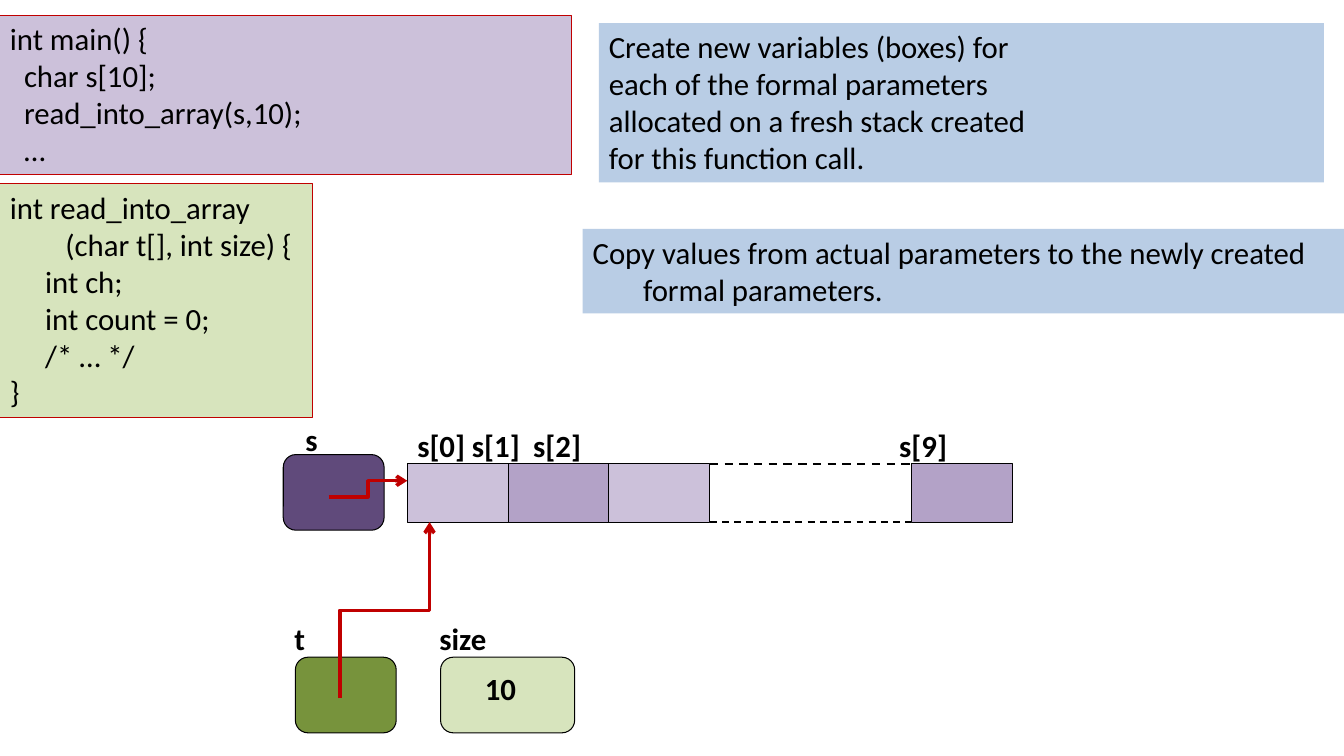
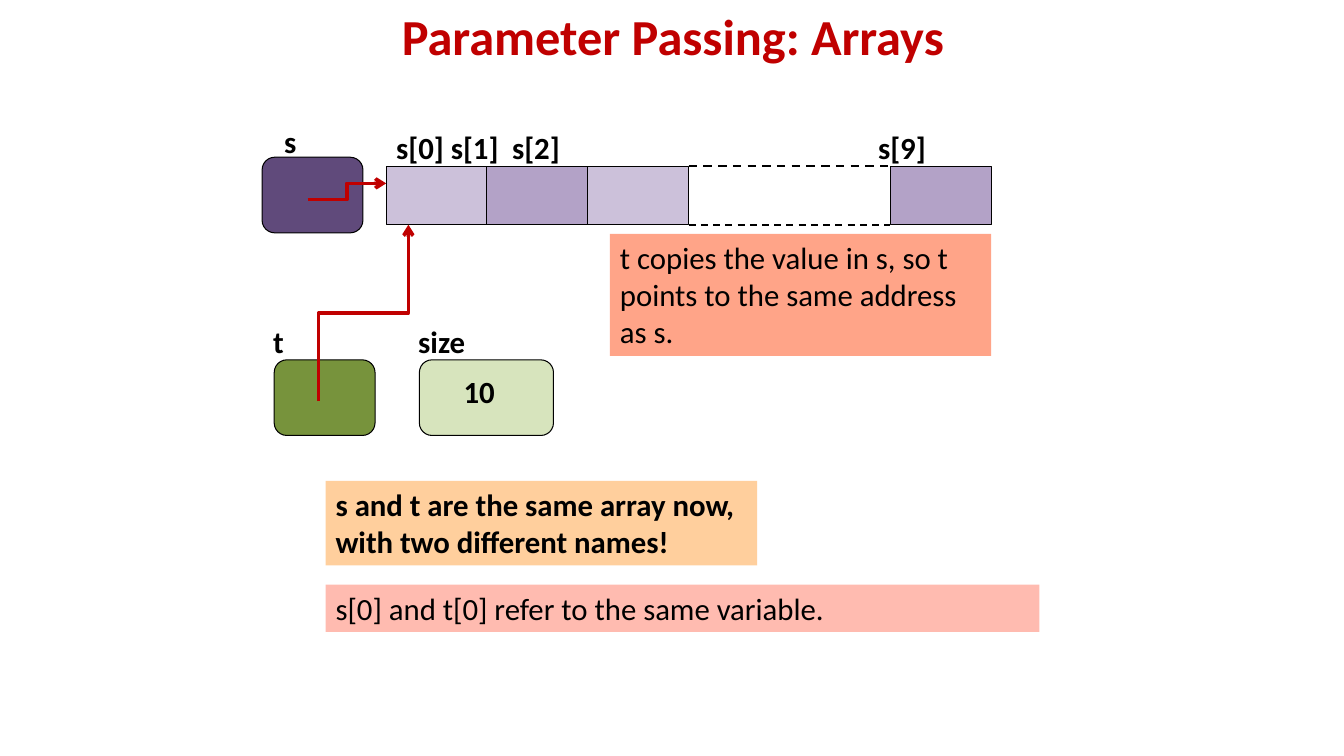
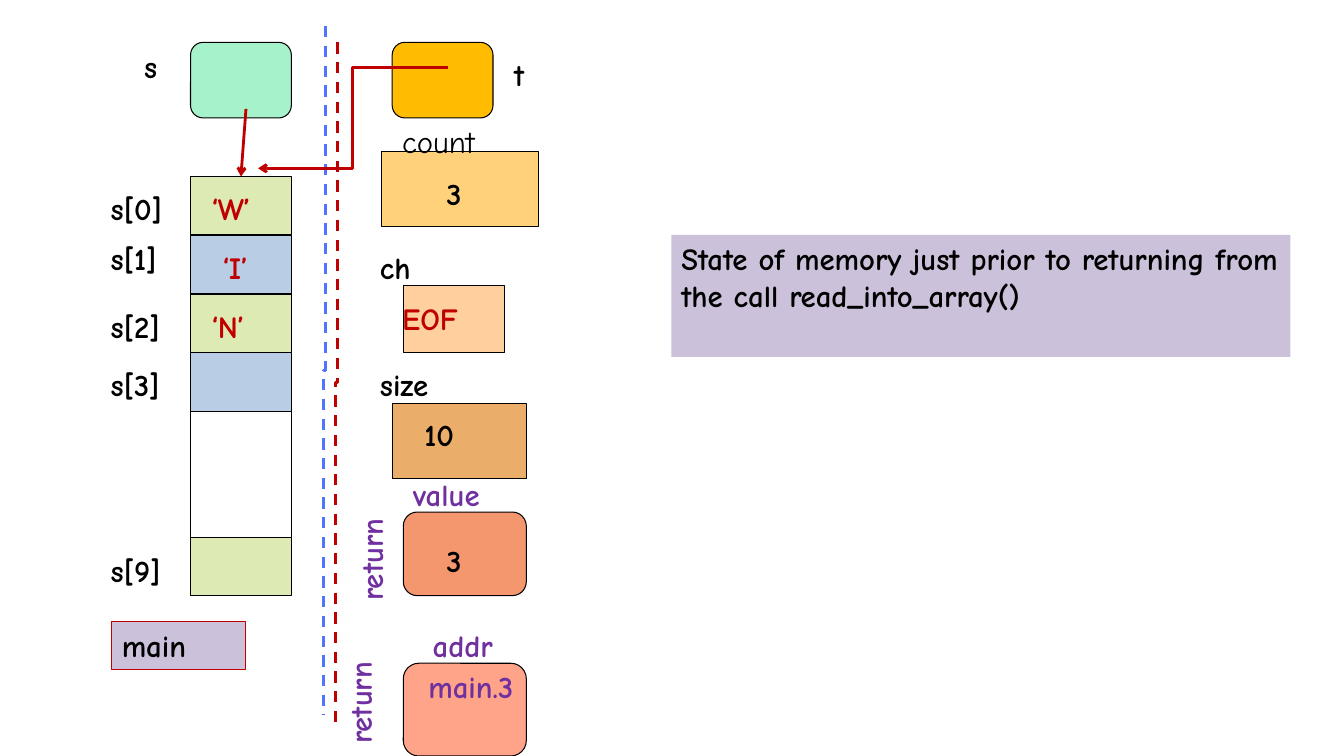
from dataclasses import dataclass

import pptx
import pptx.dml.color
import pptx.enum.dml
import pptx.enum.shapes
import pptx.enum.text
import pptx.oxml.ns
import pptx.shapes.autoshape
import pptx.slide
import pptx.util
from lxml import etree

Inches = pptx.util.Inches
Pt = pptx.util.Pt
Slide = pptx.slide.Slide
AutoShape = pptx.shapes.autoshape.Shape
qualified = pptx.oxml.ns.qn


@dataclass(frozen=True)
class Theme:
    body_font: str = "Calibri"
    memory_font: str = "Comic Neue"
    body_size: float = 22
    title_size: float = 36
    outline: float = 0.75
    label_height: float = 0.47
    black: str = "000000"
    red: str = "C00000"
    blue_dash: str = "5174FF"
    return_purple: str = "7030A0"
    lilac: str = "CCC1DA"
    mauve: str = "B3A2C7"
    plum: str = "604A7B"
    pale_green: str = "D7E4BD"
    olive: str = "77933C"
    lime: str = "DDEAB4"
    mint: str = "A6F2CA"
    sky: str = "B9CDE5"
    salmon: str = "FFA488"
    pink: str = "FFBBB0"
    coral: str = "F4976E"
    peach: str = "FFCF9D"
    amber: str = "FFBC00"
    honey: str = "FFD17A"
    caramel: str = "EAAD6A"


THEME = Theme()


@dataclass(frozen=True)
class Box:
    left: float
    top: float
    width: float
    height: float
    fill: str
    line: str | None = THEME.black
    rounded: bool = False


@dataclass(frozen=True)
class Label:
    text: str
    left: float
    top: float
    width: float
    color: str = THEME.black
    bold: bool = True
    centered: bool = False
    rotation: float = 0


@dataclass(frozen=True)
class Link:
    start: tuple[float, float]
    end: tuple[float, float]
    color: str = THEME.black
    width: float = THEME.outline
    bent: bool = False
    vertical_first: bool = False
    dashed: bool = False
    arrow: bool = False


def rgb(color: str) -> pptx.dml.color.RGBColor:
    return pptx.dml.color.RGBColor.from_string(color)


def write_text(shape: AutoShape, text: str, *, font: str = THEME.body_font,
               size: float = THEME.body_size, color: str = THEME.black,
               bold: bool = False, centered: bool = False, wrap: bool = True,
               margins: tuple[float, ...] = (), hanging: float = 0) -> None:
    frame = shape.text_frame
    frame.word_wrap = wrap
    frame.auto_size = pptx.enum.text.MSO_AUTO_SIZE.SHAPE_TO_FIT_TEXT
    frame.vertical_anchor = pptx.enum.text.MSO_ANCHOR.TOP
    alignment = pptx.enum.text.PP_ALIGN
    for index, line in enumerate(text.split("\n")):
        paragraph = frame.add_paragraph() if index else frame.paragraphs[0]
        paragraph.alignment = alignment.CENTER if centered else alignment.LEFT
        properties = paragraph._p.get_or_add_pPr()
        margin = margins[index] if margins else hanging
        properties.set("marL", str(Inches(margin)))
        properties.set("indent", str(-Inches(hanging)))
        run = paragraph.add_run()
        run.text = line
        run.font.name = font
        run.font.size = Pt(size)
        run.font.bold = bold
        run.font.color.rgb = rgb(color)


def draw_box(slide: Slide, box: Box) -> AutoShape:
    kinds = pptx.enum.shapes.MSO_SHAPE
    shape = slide.shapes.add_shape(
        kinds.ROUNDED_RECTANGLE if box.rounded else kinds.RECTANGLE,
        Inches(box.left), Inches(box.top), Inches(box.width), Inches(box.height))
    shape.shadow.inherit = False
    shape.fill.solid()
    shape.fill.fore_color.rgb = rgb(box.fill)
    if box.line:
        shape.line.color.rgb = rgb(box.line)
        shape.line.width = Pt(THEME.outline)
    else:
        shape.line.fill.background()
    return shape


def draw_label(slide: Slide, label: Label, font: str = THEME.body_font) -> None:
    shape = slide.shapes.add_textbox(
        Inches(label.left), Inches(label.top),
        Inches(label.width), Inches(THEME.label_height))
    shape.rotation = label.rotation
    write_text(shape, label.text, font=font, color=label.color, bold=label.bold,
               centered=label.centered, wrap=False)


def draw_link(slide: Slide, link: Link) -> None:
    start, end = link.start, link.end
    if link.vertical_first:
        center_x, center_y = (start[0] + end[0]) / 2, (start[1] + end[1]) / 2
        half_x, half_y = start[0] - center_x, start[1] - center_y
        start = center_x + half_y, center_y - half_x
        end = center_x - half_y, center_y + half_x
    kinds = pptx.enum.shapes.MSO_CONNECTOR
    connector = slide.shapes.add_connector(
        kinds.ELBOW if link.bent else kinds.STRAIGHT,
        Inches(start[0]), Inches(start[1]), Inches(end[0]), Inches(end[1]))
    connector.line.color.rgb = rgb(link.color)
    connector.line.width = Pt(link.width)
    if link.dashed:
        connector.line.dash_style = pptx.enum.dml.MSO_LINE.DASH
    properties = connector._element.spPr
    if link.vertical_first:
        properties.get_or_add_xfrm().set("rot", "5400000")
    if link.arrow:
        etree.SubElement(properties.find(qualified("a:ln")),
                         qualified("a:tailEnd"), type="arrow")
    etree.SubElement(properties, qualified("a:effectLst"))


def draw_array_diagram(slide: Slide, left: float, top: float) -> None:
    cell_left, cell_top, cell_height = left + 1.23, top + 0.48, 0.58
    cell_bottom = cell_top + cell_height
    lower_top = top + 2.4
    for column, fill in ((0, THEME.lilac), (1, THEME.mauve),
                         (2, THEME.lilac), (5, THEME.mauve)):
        draw_box(slide, Box(cell_left + column, cell_top, 1, cell_height, fill))
    for y, width in ((cell_top, 1.5), (cell_bottom, 1.25)):
        draw_link(slide, Link((cell_left + 3, y), (cell_left + 5, y),
                              width=width, dashed=True))
    for box in (
        Box(left, top + 0.39, 1, 0.75, THEME.plum, rounded=True),
        Box(left + 0.12, lower_top, 1, 0.75, THEME.olive, rounded=True),
        Box(left + 1.56, lower_top, 1.33, 0.75, THEME.pale_green, rounded=True),
    ):
        draw_box(slide, box)
    for label in (
        Label("s[0] s[1]", cell_left, top + 0.06, 1.22),
        Label("s[2]", cell_left + 1.15, top + 0.06, 0.68),
        Label("s[9]", left + 6.01, top + 0.06, 0.68),
        Label("s", left + 0.12, top, 0.32),
        Label("t", left + 0.01, top + 1.98, 0.31),
        Label("size", left + 1.45, top + 1.98, 0.74),
        Label("10", left + 1.9, top + 2.48, 0.51),
    ):
        draw_label(slide, label)
    draw_link(slide, Link((left + 0.45, top + 0.81), (cell_left, top + 0.65),
                          THEME.red, 2.5, bent=True, arrow=True))
    draw_link(slide, Link((left + 0.56, top + 2.81), (left + 1.45, cell_bottom),
                          THEME.red, 2.5, bent=True, vertical_first=True, arrow=True))


def build_call_slide(slide: Slide) -> None:
    fresh_stack = draw_box(slide, Box(5.94, 0.23, 7.19, 1.58, THEME.sky, None))
    write_text(fresh_stack,
               "Create new variables (boxes) for\neach of the formal parameters\n"
               "allocated on a fresh stack created\nfor this function call.",
               hanging=0.5)
    main_code = draw_box(slide, Box(0, 0.15, 5.67, 1.58, THEME.lilac, THEME.red))
    write_text(main_code,
               "int main() {\nchar s[10];\nread_into_array(s,10);\n…",
               margins=(0, 0.14, 0.14, 0.14))
    function_code = draw_box(slide, Box(0, 1.82, 3.1, 2.32, THEME.pale_green, THEME.red))
    write_text(function_code,
               "int read_into_array\n(char t[], int size) {\nint ch;\n"
               "int count = 0;\n/* … */\n}",
               margins=(0, 0.55, 0.35, 0.35, 0.35, 0))
    copy_values = draw_box(slide, Box(5.78, 2.27, 7.56, 0.84, THEME.sky, None))
    write_text(copy_values,
               "Copy values from actual parameters to the newly created "
               "formal parameters.", hanging=0.5)
    draw_array_diagram(slide, 2.81, 4.12)


def build_arrays_slide(slide: Slide) -> None:
    title = slide.shapes.add_textbox(0, 0, Inches(13.35), Inches(0.71))
    write_text(title, "Parameter Passing: Arrays", size=THEME.title_size,
               color=THEME.red, bold=True, centered=True)
    draw_array_diagram(slide, 2.6, 1.17)
    same_address = draw_box(slide, Box(6.05, 2.32, 3.78, 1.21, THEME.salmon, None))
    write_text(same_address,
               "t copies the value in s, so t points to the same address as s.")
    same_array = draw_box(slide, Box(3.23, 4.77, 4.28, 0.84, THEME.peach, None))
    write_text(same_array,
               "s and t are the same array now,\nwith two different names!", bold=True)
    same_variable = draw_box(slide, Box(3.23, 5.8, 7.08, 0.47, THEME.pink, None))
    write_text(same_variable, "s[0] and t[0] refer to the same variable.")


def build_memory_slide(slide: Slide) -> None:
    cell_left, cell_right, first_top, cell_height = 1.89, 2.89, 1.75, 0.58
    for row in range(4):
        fill = THEME.sky if row % 2 else THEME.lime
        draw_box(slide, Box(cell_left, first_top + row * 7 / 12, 1, cell_height, fill))
    for box in (
        Box(cell_left, 5.33, 1, cell_height, THEME.lime),
        Box(cell_left, 0.42, 1, 0.75, THEME.mint, rounded=True),
        Box(3.89, 0.42, 1, 0.75, THEME.amber, rounded=True),
        Box(3.78, 1.5, 1.56, 0.75, THEME.honey),
        Box(4, 2.83, 1, 0.67, THEME.peach),
        Box(3.89, 4, 1.33, 0.75, THEME.caramel),
        Box(4, 5.08, 1.22, 0.83, THEME.coral, rounded=True),
        Box(4, 6.58, 1.22, 0.92, THEME.salmon, rounded=True),
    ):
        draw_box(slide, box)
    for link in (
        Link((cell_left, 4.08), (cell_left, 5.42)),
        Link((cell_right, 4), (cell_right, 5.33)),
        Link((3.23, 0.26), (3.21, 7.09), THEME.blue_dash, 2,
             bent=True, vertical_first=True, dashed=True),
        Link((3.35, 0.42), (3.33, 7.17), THEME.red, 2,
             bent=True, vertical_first=True, dashed=True),
        Link((4.44, 0.67), (2.56, 1.67), THEME.red, 2, bent=True, arrow=True),
        Link((2.44, 1.08), (2.39, 1.75), THEME.red, 2, arrow=True),
    ):
        draw_link(slide, link)
    for index, top in ((0, 1.83), (1, 2.33), (2, 3), (3, 3.58), (9, 5.42)):
        draw_label(slide, Label(f"s[{index}]", 1, top, 0.77), THEME.memory_font)
    for label in (
        Label("s", 1.33, 0.42, 0.35),
        Label("t", 5, 0.5, 0.35),
        Label("‘W’", 2, 1.83, 0.66, THEME.red),
        Label("‘I’", 2.11, 2.42, 0.51, THEME.red),
        Label("‘N’", 2, 3, 0.59, THEME.red),
        Label("count", 3.89, 1.17, 0.99, bold=False),
        Label("3", 4.33, 1.68, 0.39),
        Label("ch", 3.67, 2.42, 0.54),
        Label("EOF", 3.89, 2.92, 0.83, THEME.red),
        Label("size", 3.67, 3.58, 0.78),
        Label("10", 4.11, 4.08, 0.58),
        Label("value", 4, 4.67, 0.94, THEME.return_purple),
        Label("return", 3.11, 5.25, 1.14, THEME.return_purple, rotation=270),
        Label("3", 4.33, 5.33, 0.39),
        Label("addr", 4.15, 6.17, 0.88, THEME.return_purple, centered=True),
        Label("main.3", 3.89, 6.58, 1.56, THEME.return_purple, centered=True),
        Label("return", 3, 6.67, 1.14, THEME.return_purple, rotation=270),
    ):
        draw_label(slide, label, THEME.memory_font)
    main_frame = draw_box(slide, Box(1.11, 6.17, 1.33, 0.47, THEME.lilac, THEME.red))
    write_text(main_frame, "main", font=THEME.memory_font, bold=True)
    memory_state = draw_box(slide, Box(6.66, 2.33, 6.14, 1.21, THEME.lilac, None))
    write_text(memory_state,
               "State of memory just prior to returning from the call read_into_array()",
               font=THEME.memory_font, bold=True)


def main() -> None:
    presentation = pptx.Presentation()
    presentation.slide_width = Inches(13.33)
    presentation.slide_height = Inches(7.5)
    blank_layout = presentation.slide_layouts[6]
    for build in (build_call_slide, build_arrays_slide, build_memory_slide):
        build(presentation.slides.add_slide(blank_layout))
    presentation.save("out.pptx")


main()
